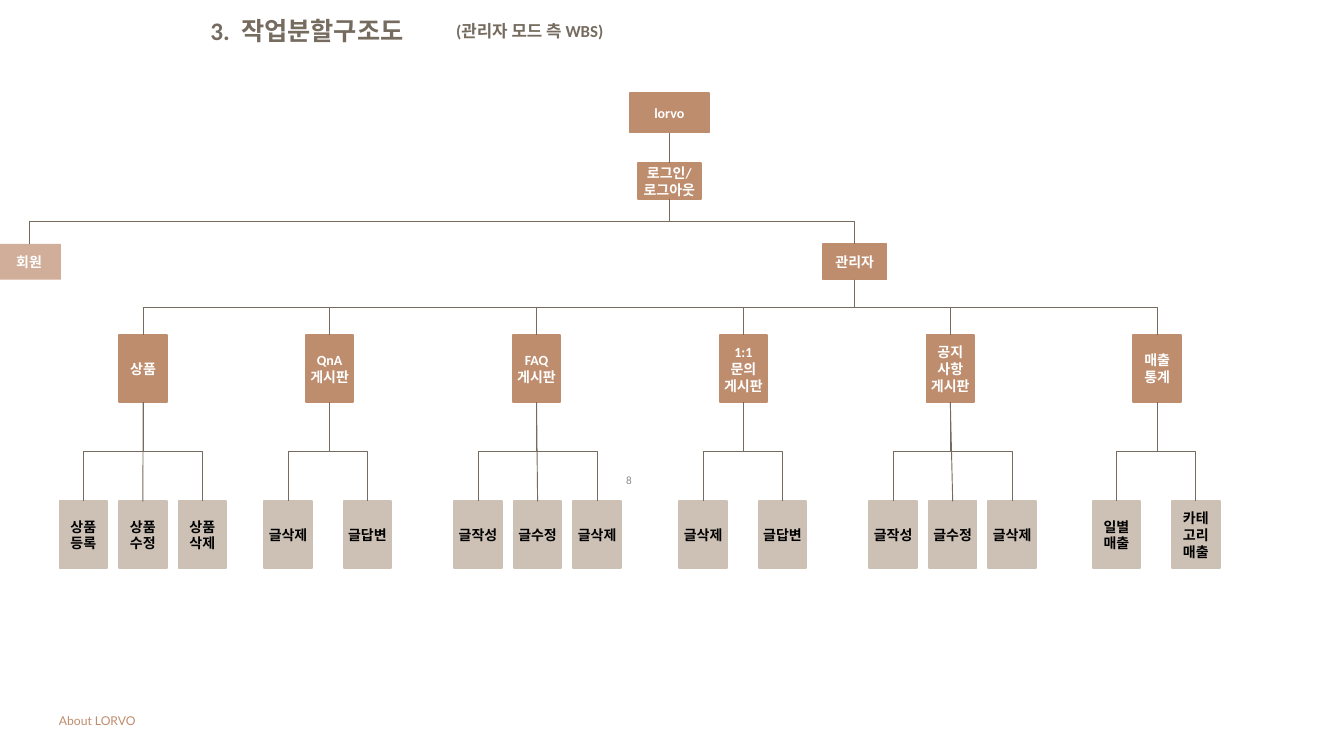
from lxml import etree
from pptx import Presentation, util as u
from pptx.dml.color import RGBColor
from pptx.enum import shapes, text
from pptx.oxml.ns import qn

COLOURS = {
    "brown": "BE8D6E",
    "sand": "CDC1B6",
    "taupe": "756B5F",
    "grey": "8C8C8C",
    "white": "FFFFFF",
    "black": "000000",
}

# All positions are in centimetres.
ROOT_X, ADMIN_X, MEMBER_X = 25.3, 32.31, 1.1
ROOT_TOP, LOGIN_TOP, ROLE_TOP, GROUP_TOP, LEAF_TOP = 3.51, 6.17, 9.22, 12.67, 18.95
ROLE_SIZE, CELL_SIZE = (2.4, 1.35), (1.8, 2.54)
FIRST_GROUP_X, BOARD_X, GROUP_STEP = 5.41, 12.46, 7.82
LEAF_STEP = {2: 3, 3: 2.25}

# Group label, centre of its leaves, leaf labels
GROUPS = [
    ("상품", 5.4, ["상품\n등록", "상품\n수정", "상품\n삭제"]),
    ("QnA\n게시판", 12.39, ["글삭제", "글답변"]),
    ("FAQ\n게시판", 20.32, ["글작성", "글수정", "글삭제"]),
    ("1:1\n문의\n게시판", 28.08, ["글삭제", "글답변"]),
    ("공지\n사항\n게시판", 36.01, ["글작성", "글수정", "글삭제"]),
    ("매출\n통계", 43.7, ["일별\n매출", "카테\n고리\n매출"]),
]


def rgb(name):
    return RGBColor.from_string(COLOURS[name])


def write(tf, content, size=15, font="Calibri", colour="white", bold=True,
          align=text.PP_ALIGN.LEFT, anchor=text.MSO_ANCHOR.TOP):
    """Fill a text frame, one paragraph per line of content."""
    tf.word_wrap = True
    tf.vertical_anchor = anchor
    for i, line in enumerate(content.split("\n")):
        p = tf.add_paragraph() if i else tf.paragraphs[0]
        p.alignment = align
        r = p.add_run()
        r.text = line
        r.font.size, r.font.name, r.font.bold = u.Pt(size), font, bold
        r.font.color.rgb = rgb(colour)


class Chart:
    """Holds the slide and the look of the work breakdown tree."""

    line_colour, line_width, edge_width = "taupe", 1, 2

    def __init__(self, s):
        self.s = s

    def label(self, content, x, y, w, h, **fmt):
        sp = self.s.shapes.add_textbox(u.Cm(x), u.Cm(y), u.Cm(w), u.Cm(h))
        write(sp.text_frame, content, **fmt)

    def box(self, content, x, top, size, fill="brown", colour="white", alpha=None):
        """Draw a box centred on x and return its (x, top, bottom)."""
        w, h = size
        sp = self.s.shapes.add_shape(shapes.MSO_SHAPE.RECTANGLE, u.Cm(x - w / 2),
                                     u.Cm(top), u.Cm(w), u.Cm(h))
        sp.shadow.inherit = False
        sp.fill.solid()
        sp.fill.fore_color.rgb = rgb(fill)
        if alpha:
            clr = sp._element.spPr.find(qn("a:solidFill"))[0]
            etree.SubElement(clr, qn("a:alpha")).set("val", str(alpha * 1000))
            sp.line.fill.background()
        else:
            sp.line.color.rgb = rgb(fill)
            sp.line.width = u.Pt(self.edge_width)
        tf = sp.text_frame
        tf.margin_left = tf.margin_right = tf.margin_top = tf.margin_bottom = 0
        write(tf, content, colour=colour, align=text.PP_ALIGN.CENTER,
              anchor=text.MSO_ANCHOR.MIDDLE)
        return x, top, top + h

    def link(self, parent, child):
        """Join two boxes: straight when nearly aligned, otherwise an elbow."""
        x1, y1, x2, y2 = parent[0], parent[2], child[0], child[1]
        dx, dy = x2 - x1, y2 - y1
        straight = abs(dx) < 0.2
        kind, rotation = shapes.MSO_CONNECTOR.STRAIGHT, 0
        if not straight:
            # An elbow runs sideways first, so it is laid flat and turned upright.
            kind, rotation = shapes.MSO_CONNECTOR.ELBOW, 270 if dx > 0 else 90
            mx, my = (x1 + x2) / 2, (y1 + y2) / 2
            half = dy / 2 if dx > 0 else -dy / 2
            x1, x2 = mx + half, mx - half
            y1, y2 = my - abs(dx) / 2, my + abs(dx) / 2
        c = self.s.shapes.add_connector(kind, u.Cm(x1), u.Cm(y1), u.Cm(x2), u.Cm(y2))
        c.line.color.rgb = rgb(self.line_colour)
        c.line.width = u.Pt(self.line_width)
        sp_pr = c._element.spPr
        if rotation:
            sp_pr.find(qn("a:xfrm")).set("rot", str(rotation * 60000))
        etree.SubElement(sp_pr, qn("a:effectLst"))


def main():
    prs = Presentation()
    prs.slide_width, prs.slide_height = u.Cm(50.8), u.Cm(28.58)
    chart = Chart(prs.slides.add_slide(prs.slide_layouts[6]))

    chart.label("8", 18.21, 17.65, 5.92, 1.02, size=12, colour="grey", bold=False,
                align=text.PP_ALIGN.RIGHT, anchor=text.MSO_ANCHOR.MIDDLE)
    chart.label("3.  작업분할구조도", 7.7, 0.46, 12.24, 1.42, size=27, colour="taupe")
    chart.label("(관리자 모드 측 WBS)", 16.99, 0.64, 6.91, 1.02, size=18, colour="taupe")

    root = chart.box("lorvo", ROOT_X, ROOT_TOP, (3, 1.5))
    login = chart.box("로그인/\n로그아웃", ROOT_X, LOGIN_TOP, ROLE_SIZE)
    member = chart.box("회원", MEMBER_X, ROLE_TOP, ROLE_SIZE, alpha=70)
    admin = chart.box("관리자", ADMIN_X, ROLE_TOP, ROLE_SIZE)
    for parent, child in [(root, login), (login, member), (login, admin)]:
        chart.link(parent, child)

    for i, (name, middle, leaves) in enumerate(GROUPS):
        x = BOARD_X + (i - 1) * GROUP_STEP if i else FIRST_GROUP_X
        group = chart.box(name, x, GROUP_TOP, CELL_SIZE)
        chart.link(admin, group)
        n = len(leaves)
        for j, leaf in enumerate(leaves):
            leaf_x = middle + (j - (n - 1) / 2) * LEAF_STEP[n]
            chart.link(group, chart.box(leaf, leaf_x, LEAF_TOP, CELL_SIZE,
                                        fill="sand", colour="black"))

    chart.label("About LORVO", 1.98, 26.85, 10.08, 0.81, size=13, font="Lato",
                colour="brown", bold=False)
    prs.save("out.pptx")


if __name__ == "__main__":
    main()
